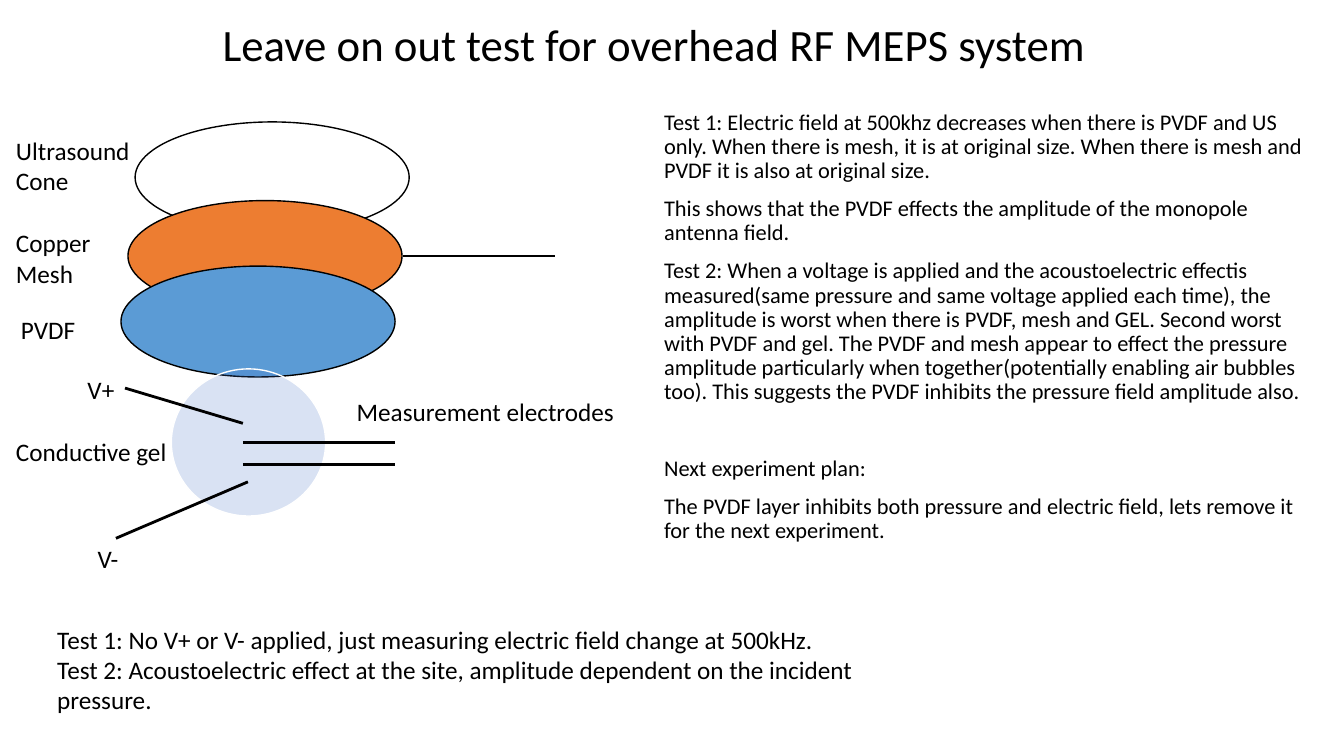
from dataclasses import dataclass

from lxml import etree
from pptx import Presentation
from pptx.dml.color import RGBColor
from pptx.enum.shapes import MSO_CONNECTOR, MSO_SHAPE
from pptx.enum.text import MSO_ANCHOR, PP_ALIGN
from pptx.oxml.ns import qn
from pptx.util import Pt

OVAL = MSO_SHAPE.OVAL
LINE = MSO_CONNECTOR.STRAIGHT
MIDDLE = MSO_ANCHOR.MIDDLE
TOP = MSO_ANCHOR.TOP
CENTER = PP_ALIGN.CENTER
LEFT = PP_ALIGN.LEFT

BLACK = RGBColor(0x00, 0x00, 0x00)
WHITE = RGBColor(0xFF, 0xFF, 0xFF)
COPPER = RGBColor(0xED, 0x7D, 0x31)
BLUE = RGBColor(0x5B, 0x9B, 0xD5)
GEL = RGBColor(0x44, 0x72, 0xC4)
FONT = "Calibri"


@dataclass
class Disc:
    left: float
    top: float
    fill: RGBColor
    width: float = 195.8
    height: float = 79.2
    edge: RGBColor = BLACK
    alpha: int = 100


@dataclass
class Wire:
    x1: float
    y1: float
    x2: float
    y2: float


@dataclass
class Label:
    text: str
    left: float
    top: float
    width: float
    height: float
    size: float = 18
    align: PP_ALIGN = LEFT
    anchor: MSO_ANCHOR = TOP
    spacing: float = 1.0
    gaps: tuple[float, ...] = ()


DISCS = [
    Disc(96.5, 87.1, WHITE),
    Disc(91.4, 143.3, COPPER),
    Disc(86.4, 190.1, BLUE),
    Disc(122.4, 263.5, GEL, 110.2, 105.1, WHITE, 20),
]

WIRES = [
    Wire(288, 182.9, 396.7, 182.9),
    Wire(82.8, 384.5, 177.1, 344.2),
    Wire(89.3, 277.2, 173.5, 302.4),
    Wire(173.5, 316.1, 282.2, 316.1),
    Wire(173.5, 331.9, 282.2, 331.9),
]

FINDINGS = "\n".join([
    "Test 1: Electric field at 500khz decreases when there is PVDF and US only. "
    "When there is mesh, it is at original size. "
    "When there is mesh and PVDF it is also at original size.",
    "This shows that the PVDF effects the amplitude of the monopole antenna field.",
    "Test 2: When a voltage is applied and the acoustoelectric effectis "
    "measured(same pressure and same voltage applied each time), the amplitude is "
    "worst when there is PVDF, mesh and GEL. Second worst with PVDF and gel. "
    "The PVDF and mesh appear to effect the pressure amplitude particularly when "
    "together(potentially enabling air bubbles too). "
    "This suggests the PVDF inhibits the pressure field amplitude also.",
    "Next experiment plan:",
    "The PVDF layer inhibits both pressure and electric field, "
    "lets remove it for the next experiment.",
])

TESTS = "\n".join([
    "Test 1: No V+ or V- applied, just measuring electric field change at 500kHz.",
    "Test 2: Acoustoelectric effect at the site, "
    "amplitude dependent on the incident pressure.",
])

LABELS = [
    Label("Leave on out test for overhead RF MEPS system",
          53.3, 7.9, 828, 51.1, 32, CENTER, MIDDLE, 0.9),
    Label(FINDINGS, 467.3, 75.6, 476.6, 337.7, 16,
          spacing=0.9, gaps=(0, 10, 10, 37.6, 10)),
    Label("Ultrasound Cone", 4.3, 92.9, 100.1, 51.1),
    Label("Copper Mesh", 4.3, 159.1, 68.4, 51.1),
    Label("PVDF", 7.9, 221, 68.4, 30),
    Label("V+", 55.4, 263.5, 41.8, 30),
    Label("Conductive gel", 4.3, 308.2, 128.2, 29),
    Label("V-", 62.6, 384.5, 39.6, 29),
    Label("Measurement electrodes", 247.7, 279.4, 205.2, 29),
    Label(TESTS, 33.8, 442.1, 586.8, 72.7),
]


def add_disc(shapes, disc: Disc) -> None:
    oval = shapes.add_shape(OVAL, Pt(disc.left), Pt(disc.top),
                            Pt(disc.width), Pt(disc.height))
    oval.shadow.inherit = False
    oval.fill.solid()
    oval.fill.fore_color.rgb = disc.fill
    oval.line.color.rgb = disc.edge
    oval.line.width = Pt(1)
    if disc.alpha < 100:
        paint = oval._element.spPr.find(qn("a:solidFill"))[0]
        etree.SubElement(paint, qn("a:alpha"), val=str(disc.alpha * 1000))


def add_wire(shapes, wire: Wire) -> None:
    line = shapes.add_connector(LINE, Pt(wire.x1), Pt(wire.y1),
                                Pt(wire.x2), Pt(wire.y2))
    line.line.color.rgb = BLACK
    line.line.width = Pt(2)
    etree.SubElement(line._element.spPr, qn("a:effectLst"))


def add_label(shapes, label: Label) -> None:
    box = shapes.add_textbox(Pt(label.left), Pt(label.top),
                             Pt(label.width), Pt(label.height))
    frame = box.text_frame
    frame.word_wrap = True
    frame.vertical_anchor = label.anchor
    frame.text = label.text
    for para in frame.paragraphs:
        para.alignment = label.align
        para.line_spacing = label.spacing
        for run in para.runs:
            run.font.name = FONT
            run.font.size = Pt(label.size)
            run.font.color.rgb = BLACK
    for para, gap in zip(frame.paragraphs, label.gaps):
        para.space_before = Pt(gap)


def main() -> None:
    deck = Presentation()
    deck.slide_width = Pt(960)
    deck.slide_height = Pt(540)
    shapes = deck.slides.add_slide(deck.slide_layouts[6]).shapes
    for disc in DISCS:
        add_disc(shapes, disc)
    for wire in WIRES:
        add_wire(shapes, wire)
    for label in LABELS:
        add_label(shapes, label)
    deck.save("out.pptx")


if __name__ == "__main__":
    main()
